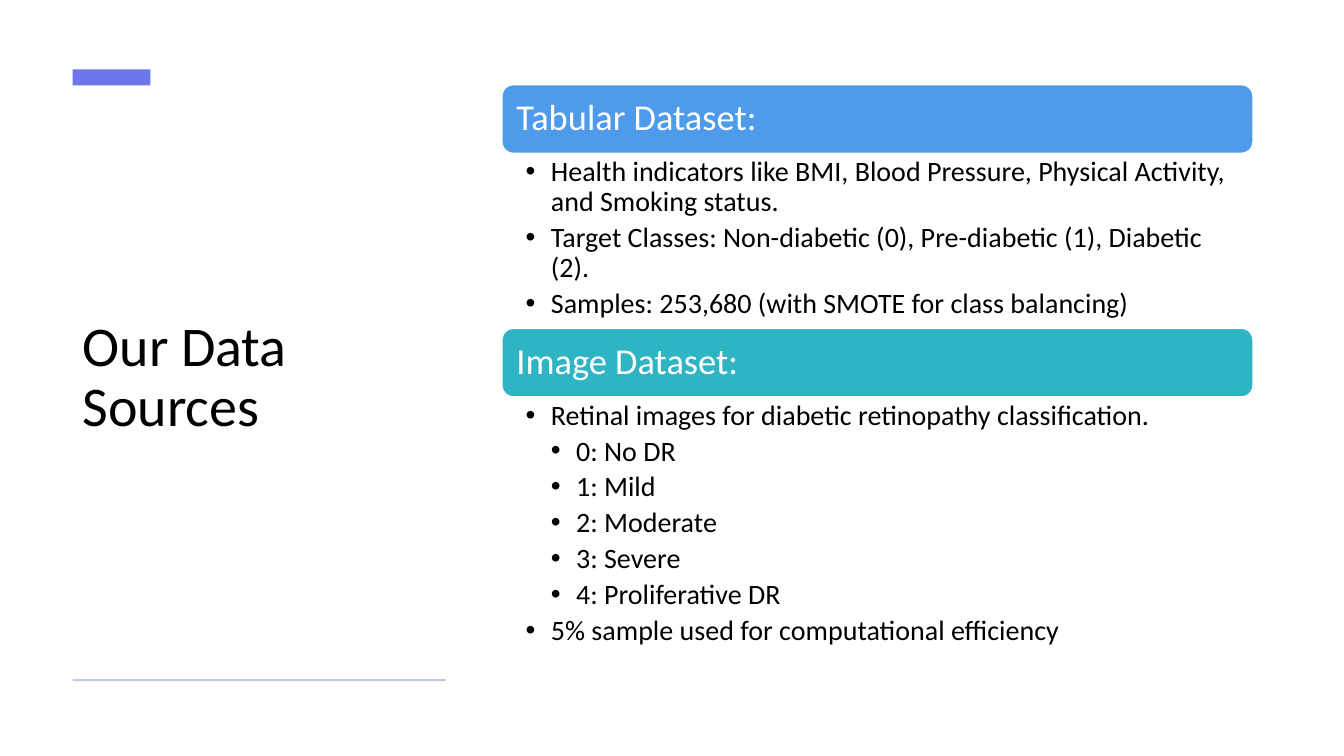
from lxml import etree
from pptx import Presentation
from pptx.dml.color import RGBColor
from pptx.enum.shapes import MSO_SHAPE
from pptx.enum.text import MSO_ANCHOR, PP_ALIGN
from pptx.oxml.ns import qn
from pptx.util import Pt

RECTANGLE = MSO_SHAPE.RECTANGLE
ROUNDED = MSO_SHAPE.ROUNDED_RECTANGLE
MIDDLE = MSO_ANCHOR.MIDDLE
LEFT = PP_ALIGN.LEFT

FONT = "Calibri"
COLORS = {
    "text": "000000",
    "white": "FFFFFF",
    "accent": "6E76EE",
    "rule": "BDCBDB",
    "tabular": "4E9AEB",
    "image": "2EB4C3",
}

TITLE_LEFT, TITLE_WIDTH = 52, 266.5
SECTION_LEFT, SECTION_TOP, SECTION_WIDTH = 358.5, 60.5, 536.5
HEADER_HEIGHT = 49
INDENT = 18

# heading, colour, height of the bullet list, (level, text) of each bullet
SECTIONS = [
    ("Tabular Dataset:", "tabular", 125, [
        (1, "Health indicators like BMI, Blood Pressure, Physical Activity, and Smoking status."),
        (1, "Target Classes: Non-diabetic (0), Pre-diabetic (1), Diabetic (2)."),
        (1, "Samples: 253,680 (with SMOTE for class balancing)"),
    ]),
    ("Image Dataset:", "image", 191, [
        (1, "Retinal images for diabetic retinopathy classification."),
        (2, "0: No DR"),
        (2, "1: Mild"),
        (2, "2: Moderate"),
        (2, "3: Severe"),
        (2, "4: Proliferative DR"),
        (1, "5% sample used for computational efficiency"),
    ]),
]


def rgb(name):
    return RGBColor.from_string(COLORS[name])


def add_block(slide, kind, left, top, width, height, color):
    shape = slide.shapes.add_shape(kind, Pt(left), Pt(top), Pt(width), Pt(height))
    shape.shadow.inherit = False
    shape.fill.solid()
    shape.fill.fore_color.rgb = rgb(color)
    shape.line.fill.background()
    return shape


def add_text_box(slide, left, top, width, height):
    text_box = slide.shapes.add_textbox(Pt(left), Pt(top), Pt(width), Pt(height))
    text_box.text_frame.word_wrap = True
    return text_box.text_frame


def set_margins(frame, left, top, right, bottom):
    frame.margin_left, frame.margin_top = Pt(left), Pt(top)
    frame.margin_right, frame.margin_bottom = Pt(right), Pt(bottom)


def write(paragraph, text, size, color):
    paragraph.text = text
    paragraph.alignment = LEFT
    paragraph.line_spacing = 0.9
    paragraph.font.name = FONT
    paragraph.font.size = Pt(size)
    paragraph.font.color.rgb = rgb(color)


def add_bullet(paragraph, level):
    """Give the paragraph a hanging bullet; call before its font is set."""
    paragraph.level = level
    paragraph.space_after = Pt(4)
    properties = paragraph._p.get_or_add_pPr()
    properties.set("marL", str(Pt(INDENT * level)))
    properties.set("indent", str(-Pt(INDENT)))
    etree.SubElement(properties, qn("a:buFont"), typeface="Arial")
    etree.SubElement(properties, qn("a:buChar"), char="•")


def add_title(slide, text):
    frame = add_text_box(slide, TITLE_LEFT, 75.5, TITLE_WIDTH, 389.5)
    frame.vertical_anchor = MIDDLE
    write(frame.paragraphs[0], text, 40, "text")


def add_header(slide, top, text, color):
    header = add_block(slide, ROUNDED, SECTION_LEFT, top, SECTION_WIDTH, HEADER_HEIGHT, color)
    header.line.color.rgb = rgb("white")
    header.line.width = Pt(1)
    frame = header.text_frame
    frame.vertical_anchor = MIDDLE
    set_margins(frame, 8, 8, 8, 8)
    write(frame.paragraphs[0], text, 26, "white")


def add_bullet_list(slide, top, height, bullets):
    frame = add_text_box(slide, SECTION_LEFT, top, SECTION_WIDTH, height)
    set_margins(frame, 17, 3, 14, 3)
    for index, (level, text) in enumerate(bullets):
        paragraph = frame.add_paragraph() if index else frame.paragraphs[0]
        add_bullet(paragraph, level)
        write(paragraph, text, 20, "text")


def main():
    presentation = Presentation()
    presentation.slide_width, presentation.slide_height = Pt(960), Pt(540)
    slide = presentation.slides.add_slide(presentation.slide_layouts[6])

    add_title(slide, "Our Data Sources")
    add_block(slide, RECTANGLE, TITLE_LEFT, 49.5, 55.5, 11.5, "accent")
    add_block(slide, RECTANGLE, TITLE_LEFT, 485, TITLE_WIDTH, 1.5, "rule")

    top = SECTION_TOP
    for heading, color, list_height, bullets in SECTIONS:
        add_header(slide, top, heading, color)
        add_bullet_list(slide, top + HEADER_HEIGHT, list_height, bullets)
        top += HEADER_HEIGHT + list_height

    presentation.save("out.pptx")


if __name__ == "__main__":
    main()
